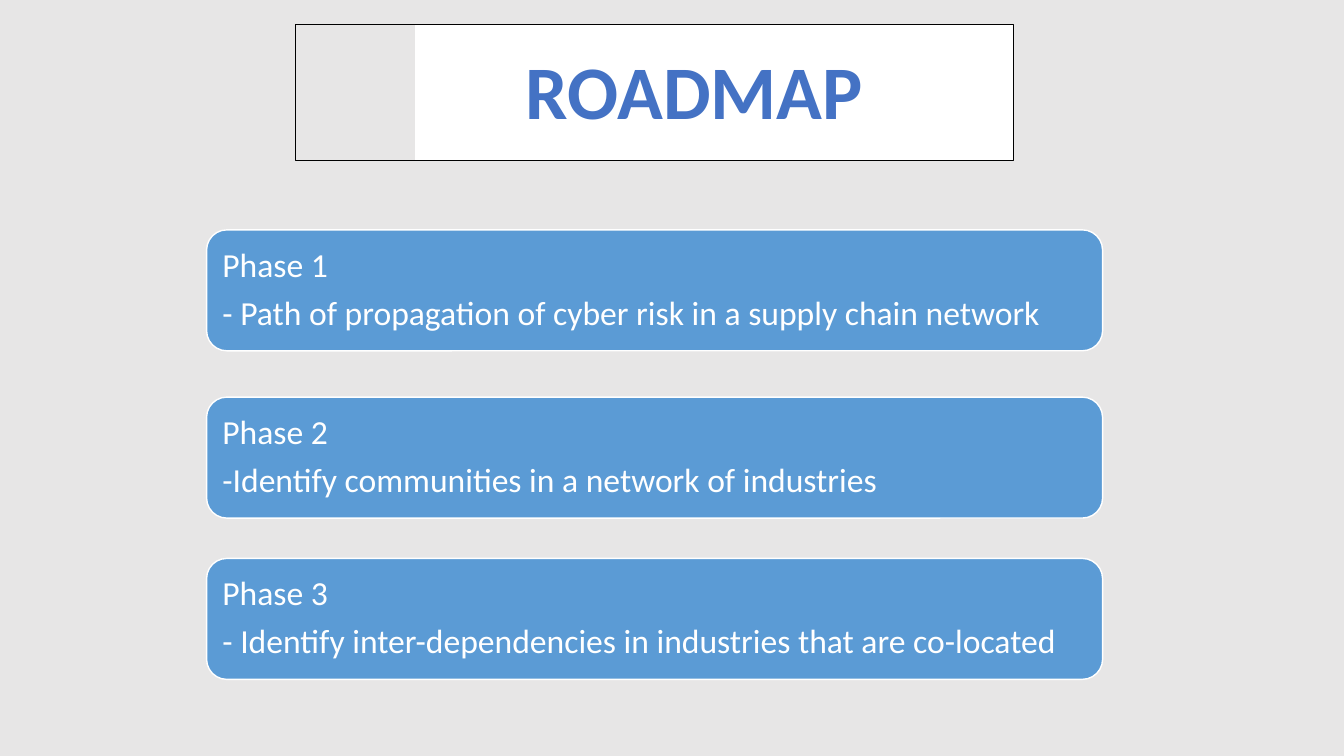
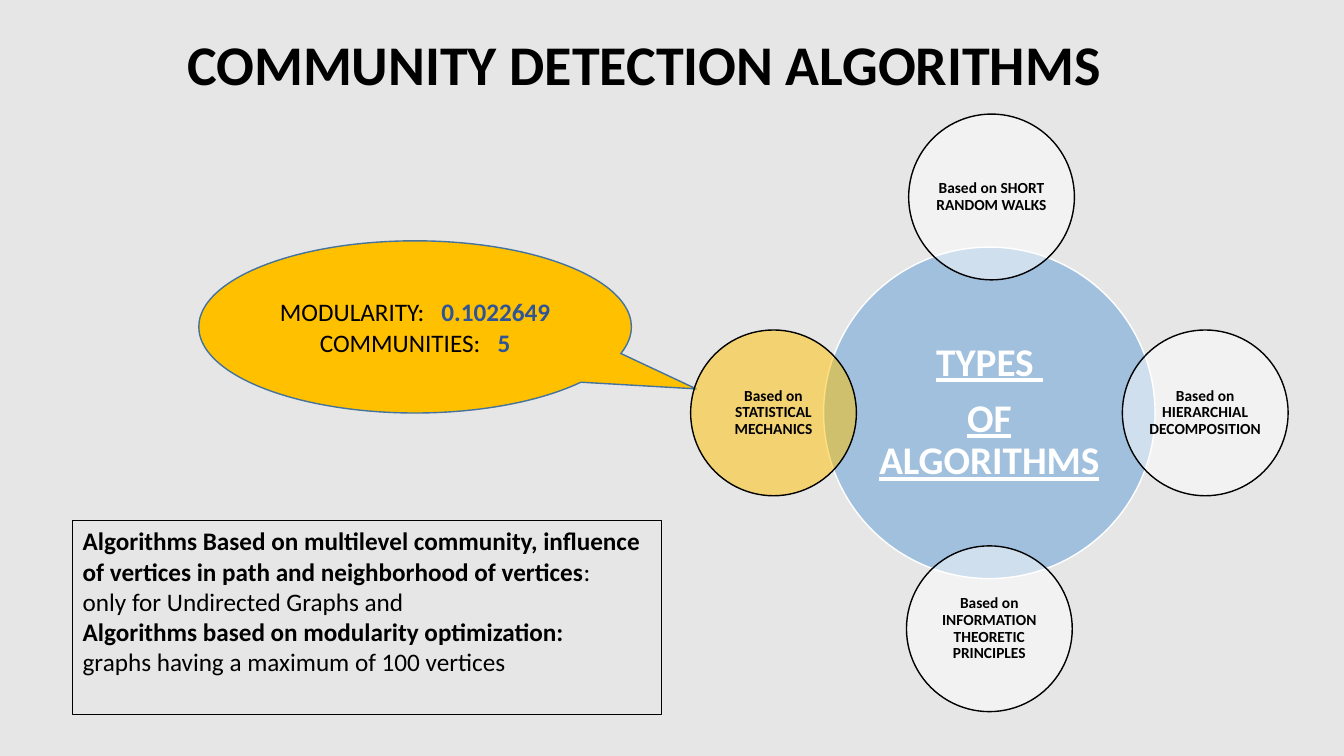
from dataclasses import dataclass

from lxml.etree import SubElement
from pptx import Presentation
from pptx.dml.color import RGBColor
from pptx.enum.shapes import MSO_SHAPE as Preset
from pptx.enum.text import MSO_ANCHOR as Anchor, PP_ALIGN as Align
from pptx.oxml.ns import qn
from pptx.util import Pt


@dataclass(frozen=True)
class Theme:
    font: str = "Calibri"
    background: str = "E7E6E6"
    white: str = "FFFFFF"
    black: str = "000000"
    blue: str = "5B9BD5"
    heading: str = "4472C4"
    value: str = "2F5597"
    callout_line: str = "43739E"
    gold: str = "FFC000"
    banner_size: int = 54
    title_size: int = 40
    hub_size: int = 28
    phase_size: int = 24
    body_size: int = 18
    circle_size: int = 11


THEME = Theme()

PHASES = [  # top, lines
    (164.2, ["Phase 1", "- Path of propagation of cyber risk in a supply chain network"]),
    (283.7, ["Phase 2", "-Identify communities in a network of industries"]),
    (398.9, ["Phase 3", "- Identify inter-dependencies in industries that are co-located"]),
]

HUB_LINES = ["TYPES ", "OF ALGORITHMS"]
HUB_CENTER = (706.7, 294.9)
HUB_RADIUS, CIRCLE_RADIUS, RING_RADIUS = 118.4, 59.2, 154.2
CIRCLES = [  # direction from the hub, text, fill
    ((0.01, -1), "Based on SHORT RANDOM WALKS", THEME.white),
    ((1, 0), "Based on HIERARCHIAL DECOMPOSITION", THEME.white),
    ((0, 1), "Based on INFORMATION THEORETIC PRINCIPLES", THEME.white),
    ((-1, 0), "Based on STATISTICAL MECHANICS", THEME.gold),
]

RESULTS = [("MODULARITY:", "0.1022649"), ("COMMUNITIES:", "5")]
RESULT_GAP = 8  # points added to the space before a value

NOTES = [  # runs of (text, bold)
    [("Algorithms Based on multilevel community, influence of vertices "
      "in path and neighborhood of vertices", True), (":", False)],
    [("only for Undirected Graphs and", False)],
    [("Algorithms based on modularity optimization:", True)],
    [("graphs having a maximum of 100 vertices", False)],
]


def rgb(color):
    return RGBColor.from_string(color)


def add_shape(slide, preset, box, fill=None, line=None, width=1, alpha=None):
    shape = slide.shapes.add_shape(preset, *map(Pt, box))
    shape.shadow.inherit = False
    if fill:
        shape.fill.solid()
        shape.fill.fore_color.rgb = rgb(fill)
        if alpha is not None:
            color = shape.fill._xPr.find(qn("a:solidFill"))[0]
            SubElement(color, qn("a:alpha")).set("val", str(alpha * 1000))
    else:
        shape.fill.background()
    if line:
        shape.line.color.rgb = rgb(line)
        shape.line.width = Pt(width)
    else:
        shape.line.fill.background()
    return shape


def add_run(paragraph, text, size, color, bold=False, underline=False):
    run = paragraph.add_run()
    run.text = text
    font = run.font
    font.name, font.size, font.color.rgb = THEME.font, Pt(size), rgb(color)
    font.bold, font.underline = bold, underline
    return run


def add_paragraph(frame, index, align):
    paragraph = frame.paragraphs[0] if index == 0 else frame.add_paragraph()
    paragraph.alignment = align
    return paragraph


def fill_diagram_text(shape, lines, size, color, margin, align=Align.CENTER, **style):
    """Write tightly set lines, centred vertically, into a diagram part."""
    frame = shape.text_frame
    frame.word_wrap = True
    frame.vertical_anchor = Anchor.MIDDLE
    frame.margin_left = frame.margin_right = Pt(margin)
    frame.margin_top = frame.margin_bottom = Pt(margin)
    for index, line in enumerate(lines):
        paragraph = add_paragraph(frame, index, align)
        paragraph.line_spacing = 0.9
        paragraph.space_after = Pt(round(0.35 * size, 1))
        add_run(paragraph, line, size, color, **style)


def add_title(slide, text, box, size, color, wrap=True):
    frame = slide.shapes.add_textbox(*map(Pt, box)).text_frame
    frame.word_wrap = wrap
    add_run(add_paragraph(frame, 0, Align.CENTER), text, size, color, bold=True)


def add_circle(slide, center, radius, fill, line):
    x, y = center
    box = (x - radius, y - radius, 2 * radius, 2 * radius)
    return add_shape(slide, Preset.OVAL, box, fill, line, alpha=50)


def build_roadmap(slide):
    for top, lines in PHASES:
        bar = add_shape(slide, Preset.ROUNDED_RECTANGLE, (147.6, top, 640, 86.4),
                        THEME.blue, THEME.white)
        fill_diagram_text(bar, lines, THEME.phase_size, THEME.white, 7.2, Align.LEFT)
    add_shape(slide, Preset.RECTANGLE, (296.6, 17.6, 427.7, 97), THEME.white)
    add_title(slide, "ROADMAP", (367, 28, 258, 73), THEME.banner_size, THEME.heading,
              wrap=False)
    add_shape(slide, Preset.RECTANGLE, (211, 17.6, 513.3, 97),
              line=THEME.black, width=0.75)


def add_results(slide):
    callout = add_shape(slide, Preset.OVAL_CALLOUT, (142, 172, 309, 123),
                        THEME.gold, THEME.callout_line)
    callout.adjustments[0], callout.adjustments[1] = 0.65, 0.36
    frame = callout.text_frame
    frame.word_wrap = True
    frame.vertical_anchor = Anchor.MIDDLE
    for index, (label, value) in enumerate(RESULTS):
        paragraph = add_paragraph(frame, index, Align.CENTER)
        add_run(paragraph, label, THEME.body_size, THEME.black)
        gap = add_run(paragraph, " ", THEME.body_size, THEME.black)
        gap.font._element.set("spc", str(RESULT_GAP * 100))
        add_run(paragraph, value, THEME.body_size, THEME.value, bold=True)


def add_notes_box(slide):
    box = add_shape(slide, Preset.RECTANGLE, (52, 372, 420.5, 138.3),
                    line=THEME.black, width=0.75)
    frame = box.text_frame
    frame.word_wrap = True
    frame.vertical_anchor = Anchor.TOP
    for index, runs in enumerate(NOTES):
        paragraph = add_paragraph(frame, index, Align.LEFT)
        for text, bold in runs:
            add_run(paragraph, text, THEME.body_size, THEME.black, bold)


def build_algorithms(slide):
    add_title(slide, "COMMUNITY DETECTION ALGORITHMS", (70, 17.3, 780, 78),
              THEME.title_size, THEME.black)
    add_results(slide)
    add_notes_box(slide)
    hub = add_circle(slide, HUB_CENTER, HUB_RADIUS, THEME.blue, THEME.white)
    fill_diagram_text(hub, HUB_LINES, THEME.hub_size, THEME.white, 2.8,
                      bold=True, underline=True)
    for direction, text, fill in CIRCLES:
        center = [c + RING_RADIUS * d for c, d in zip(HUB_CENTER, direction)]
        circle = add_circle(slide, center, CIRCLE_RADIUS, fill, THEME.black)
        fill_diagram_text(circle, [text], THEME.circle_size, THEME.black, 1.1, bold=True)


def main():
    presentation = Presentation()
    presentation.slide_width, presentation.slide_height = Pt(960), Pt(540)
    background = presentation.slide_master.background.fill
    background.solid()
    background.fore_color.rgb = rgb(THEME.background)
    blank = presentation.slide_layouts[6]
    for build in (build_roadmap, build_algorithms):
        build(presentation.slides.add_slide(blank))
    presentation.save("out.pptx")


if __name__ == "__main__":
    main()
